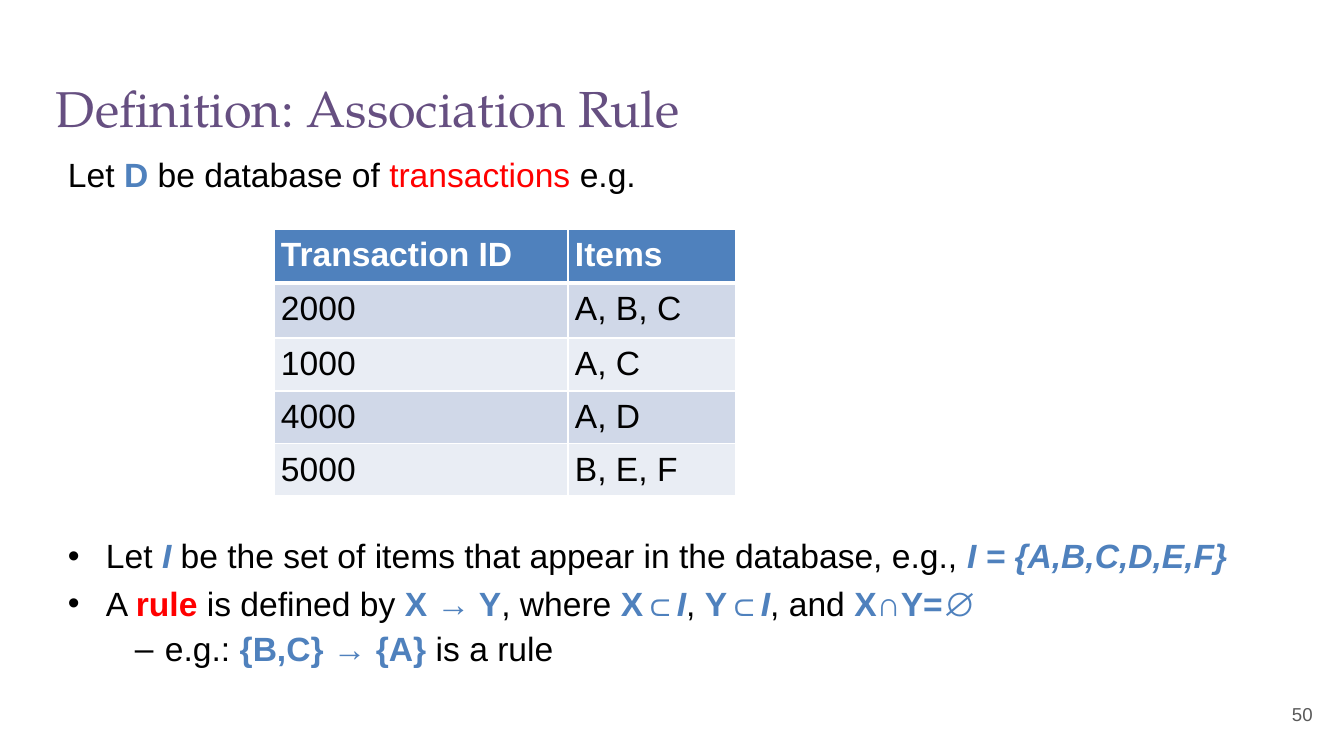
from lxml.etree import SubElement
from pptx import Presentation
from pptx.dml.color import RGBColor
from pptx.enum.text import MSO_ANCHOR, MSO_AUTO_SIZE, PP_ALIGN
from pptx.oxml.ns import qn
from pptx.util import Pt

PX = 914400 / 134.4
BLACK, BLUE, RED, WHITE = "000000", "4F81BD", "FF0000", "FFFFFF"


def px(*lengths):
    """Turn pixel lengths into a list of EMU."""
    return [round(length * PX) for length in lengths]


def style(run, size, color, bold=False, italic=False, name="Arial"):
    run.font.name = name
    run.font.size = Pt(size)
    run.font.bold = bold
    run.font.italic = italic
    run.font.color.rgb = RGBColor.from_string(color)


prs = Presentation()
prs.slide_width, prs.slide_height = px(1344, 756)
slide = prs.slides.add_slide(prs.slide_layouts[1])

# Title
title = slide.shapes.title
title.left, title.top, title.width, title.height = px(56, 74, 1231, 66)
heading = title.text_frame
heading.text = "Definition: Association Rule"
heading.auto_size = MSO_AUTO_SIZE.NONE
heading.vertical_anchor = MSO_ANCHOR.MIDDLE
heading.margin_left = heading.margin_right = heading.margin_top = heading.margin_bottom = 0
heading.paragraphs[0].alignment = PP_ALIGN.LEFT
style(heading.paragraphs[0].runs[0], 27, "664F81", name="TeX Gyre Pagella")

# Body: color, bold, italic for each kind of wording
looks = {
    "plain": (BLACK, False, False),
    "red": (RED, False, False),
    "rule": (RED, True, False),
    "term": (BLUE, True, False),
    "set": (BLUE, True, True),
    "sign": (BLUE, False, False),
}
# level, bullet, space before in points, wording
statements = [
    (0, None, 0, [("Let ", "plain"), ("D ", "term"), ("be database of ", "plain"),
                  ("transactions ", "red"), ("e.g.", "plain")]),
    # The wide gap leaves room for the table
    (0, "•", 185, [("Let ", "plain"), ("I", "set"),
                   (" be the set of items that appear in the database, e.g., ", "plain"),
                   ("I = {A,B,C,D,E,F}", "set")]),
    (0, "•", 6, [("A ", "plain"), ("rule ", "rule"), ("is defined by ", "plain"),
                 ("X → Y", "term"), (", where ", "plain"),
                 ("X", "term"), ("⊂", "sign"), ("I", "set"), (", ", "plain"),
                 ("Y", "term"), ("⊂", "sign"), ("I", "set"), (", and ", "plain"),
                 ("X", "term"), ("∩", "sign"), ("Y=", "term"), ("∅", "sign")]),
    (1, "–", 5, [("e.g.: ", "plain"), ("{B,C} → {A} ", "term"), ("is a rule", "plain")]),
]
indents = [(38, -38), (97, -30)]

body = slide.placeholders[1]
body.left, body.top, body.width, body.height = px(63, 153, 1189, 515)
content = body.text_frame
content.auto_size = MSO_AUTO_SIZE.NONE
content.vertical_anchor = MSO_ANCHOR.TOP
content.margin_left, content.margin_top, content.margin_right, content.margin_bottom = px(5, 5, 5, 5)
for index, (level, bullet, gap, wording) in enumerate(statements):
    paragraph = content.add_paragraph() if index else content.paragraphs[0]
    paragraph.level = level
    properties = paragraph._p.get_or_add_pPr()
    margin, indent = px(*indents[level])
    properties.set("marL", str(margin))
    properties.set("indent", str(indent))
    if bullet:
        bullet_color = SubElement(properties, qn("a:buClr"))
        SubElement(bullet_color, qn("a:srgbClr"), val=BLACK)
        SubElement(properties, qn("a:buFont"), typeface="Arial")
        SubElement(properties, qn("a:buChar"), char=bullet)
    else:
        SubElement(properties, qn("a:buNone"))
    paragraph.line_spacing = 0.9
    paragraph.space_before = Pt(gap)
    for text, look in wording:
        run = paragraph.add_run()
        run.text = text
        style(run, 18, *looks[look])

# Transactions table
transactions = [
    ("Transaction ID", "Items"),
    ("2000", "A, B, C"),
    ("1000", "A, C"),
    ("4000", "A, D"),
    ("5000", "B, E, F"),
]
column_widths = [294, 168]
row_heights = [54, 55, 53, 53, 52]
table = slide.shapes.add_table(
    len(transactions), 2, *px(274, 229, sum(column_widths), sum(row_heights))).table
for column, width in zip(table.columns, px(*column_widths)):
    column.width = width
for row, height in zip(table.rows, px(*row_heights)):
    row.height = height

for r, record in enumerate(transactions):
    for c, value in enumerate(record):
        cell = table.cell(r, c)
        cell.margin_left, cell.margin_top, cell.margin_right, cell.margin_bottom = px(7, 7, 7, 7)
        for side in "LRTB":
            under_header = (r, side) in [(0, "B"), (1, "T")]
            border = SubElement(cell._tc.get_or_add_tcPr(), qn(f"a:ln{side}"),
                                w=str(Pt(2 if under_header else 0.75)))
            border_fill = SubElement(border, qn("a:solidFill"))
            SubElement(border_fill, qn("a:srgbClr"), val=WHITE)
        cell.fill.solid()
        band = BLUE if r == 0 else ("E9EDF4", "D0D8E8")[r % 2]
        cell.fill.fore_color.rgb = RGBColor.from_string(band)
        cell.text_frame.text = value
        style(cell.text_frame.paragraphs[0].runs[0], 18, BLACK if r else WHITE, bold=r == 0)

# Page number
page = slide.shapes.add_textbox(*px(1278, 703, 36, 20)).text_frame
page.margin_left, page.margin_top, page.margin_right, page.margin_bottom = px(14, 0, 0, 0)
page.text = "50"
style(page.paragraphs[0].runs[0], 10, "595959")

prs.save("out.pptx")
